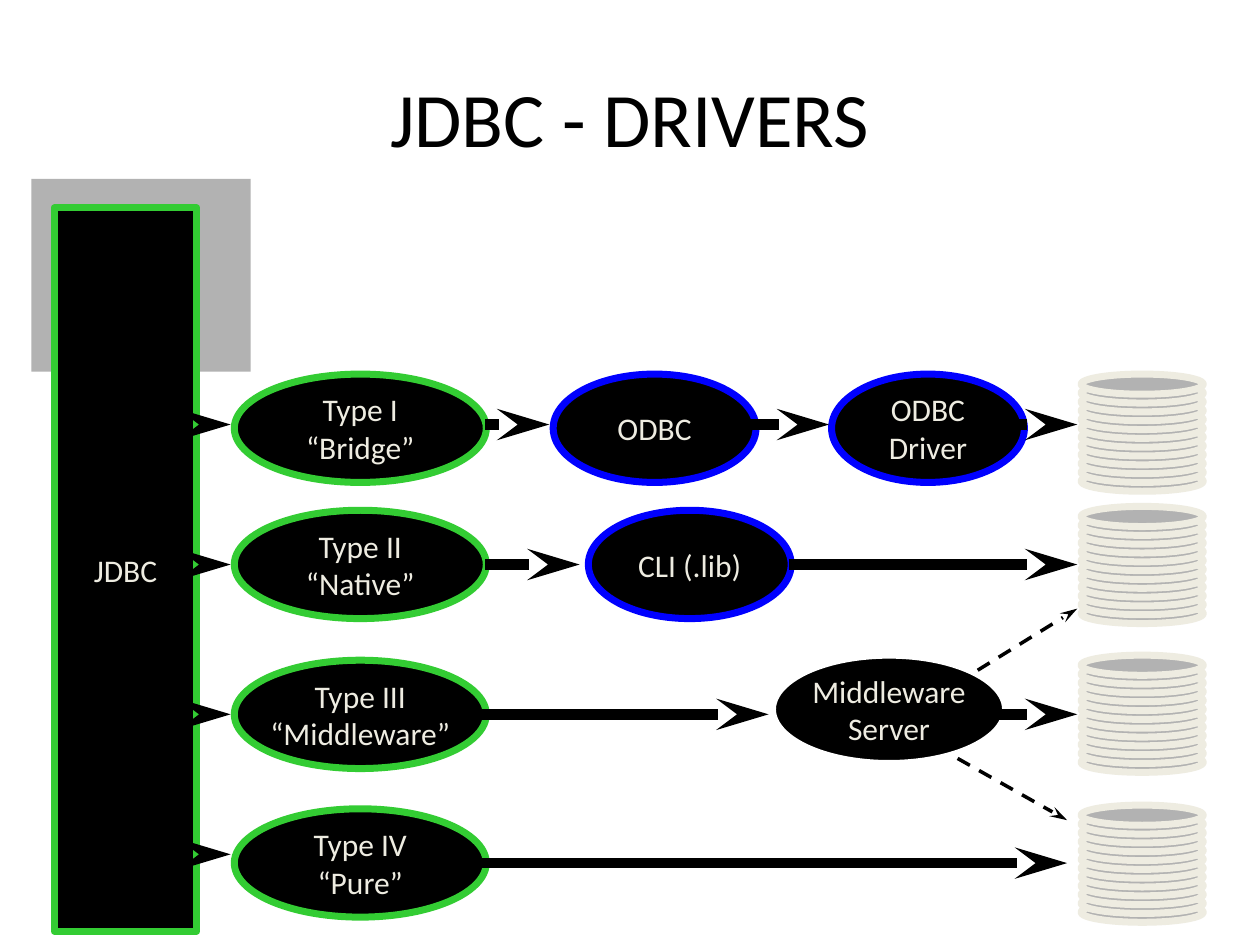
from lxml import etree
from pptx import Presentation
from pptx.dml.color import RGBColor
from pptx.enum.dml import MSO_LINE as Dash
from pptx.enum.shapes import MSO_CONNECTOR as Connector, MSO_SHAPE as Shape
from pptx.enum.text import MSO_ANCHOR as Anchor, PP_ALIGN as Align
from pptx.oxml.ns import qn
from pptx.util import Pt

BLACK = RGBColor(0x00, 0x00, 0x00)
WHITE = RGBColor(0xFF, 0xFF, 0xFF)
GRAY = RGBColor(0xB2, 0xB2, 0xB2)
CREAM = RGBColor(0xEE, 0xEC, 0xE1)
GREEN = RGBColor(0x33, 0xCC, 0x33)
BLUE = RGBColor(0x00, 0x00, 0xFF)

ROW_HEIGHT = 61.9
TYPE_LEFT, TYPE_WIDTH = 133.9, 144
TYPES = [
    (213.8, "Type I\n“Bridge”"),
    (291.6, "Type II\n“Native”"),
    (377.3, "Type III\n“Middleware”"),
    (462.2, "Type IV\n“Pure”"),
]
# left, top, width, outline, text
LAYERS = [
    (316.1, 213.8, 115.9, BLUE, "ODBC"),
    (475.2, 213.8, 110.2, BLUE, "ODBC\nDriver"),
    (336.2, 291.6, 115.9, BLUE, "CLI (.lib)"),
    (441.4, 374.4, 133.2, WHITE, "Middleware\nServer"),
]
DATABASE_TOPS = [213.8, 289.4, 374.4, 460.1]
# y, then the start and end x of each arrow in that row
ARROW_ROWS = [
    (242.6, [(77.8, 131.8), (277.2, 313.9), (419.8, 473.8), (561.6, 615.6)]),
    (322.6, [(103.7, 131.8), (277.2, 331.2), (450.7, 615.6)]),
    (408.2, [(77.8, 131.8), (274.3, 439.2), (570.2, 615.6)]),
    (488.2, [(77.8, 131.8)]),
    (493.2, [(274.3, 609.8)]),
]
DASHED_ARROWS = [
    ((558.7, 383), (615.6, 347.8)),
    ((547.2, 433.4), (609.8, 468.7)),
]


class DiagramBuilder:
    FRAME = {
        "margin_left": Pt(7.2), "margin_right": Pt(7.2),
        "margin_top": Pt(3.6), "margin_bottom": Pt(3.6),
        "vertical_anchor": Anchor.MIDDLE,
    }
    FONT = {"name": "Calibri", "bold": False}

    def __init__(self, slide):
        self.slide = slide

    def label(self, shape, text, size, color, wrap):
        frame = shape.text_frame
        for name, value in {**self.FRAME, "word_wrap": wrap}.items():
            setattr(frame, name, value)
        frame.text = text
        for paragraph in frame.paragraphs:
            paragraph.alignment = Align.CENTER
            for name, value in {**self.FONT, "size": Pt(size)}.items():
                setattr(paragraph.font, name, value)
            paragraph.font.color.rgb = color

    def title(self, text, *box):
        shape = self.slide.shapes.add_textbox(*map(Pt, box))
        self.label(shape, text, 44, BLACK, True)

    def shape(self, kind, box, fill, outline=None, text=None):
        shape = self.slide.shapes.add_shape(kind, *map(Pt, box))
        shape.shadow.inherit = False
        shape.fill.solid()
        shape.fill.fore_color.rgb = fill
        if outline is None:
            shape.line.fill.background()
        else:
            shape.line.color.rgb = outline
            shape.line.width = Pt(4)
        if text:
            self.label(shape, text, 18, CREAM, False)

    def database(self, top, disks=12, step=5.04):
        """Stack flat disks from the bottom up."""
        for index in reversed(range(disks)):
            box = (617.8, top + index * step, 69.8, 11.5)
            self.shape(Shape.OVAL, box, GRAY, CREAM)

    def arrow(self, start, end, width=6, dash=None):
        connector = self.slide.shapes.add_connector(
            Connector.STRAIGHT, *map(Pt, start + end))
        line = connector.line
        line.color.rgb = BLACK
        line.width = Pt(width)
        if dash:
            line.dash_style = dash
        properties = connector._element.spPr
        etree.SubElement(properties.find(qn("a:ln")), qn("a:tailEnd"),
                         type="stealth", w="med", len="lg")
        etree.SubElement(properties, qn("a:effectLst"))


def main():
    presentation = Presentation()
    presentation.slide_width, presentation.slide_height = Pt(720), Pt(540)
    slide = presentation.slides.add_slide(presentation.slide_layouts[6])
    diagram = DiagramBuilder(slide)

    diagram.title("JDBC - DRIVERS", 36, 21.6, 648, 90)
    diagram.shape(Shape.RECTANGLE, (18, 102.2, 125.3, 110.2), GRAY)
    diagram.shape(Shape.RECTANGLE, (31, 118.8, 81.4, 413.3), BLACK, GREEN, "JDBC")

    for top, text in TYPES:
        box = (TYPE_LEFT, top, TYPE_WIDTH, ROW_HEIGHT)
        diagram.shape(Shape.OVAL, box, BLACK, GREEN, text)
    for left, top, width, outline, text in LAYERS:
        box = (left, top, width, ROW_HEIGHT)
        diagram.shape(Shape.OVAL, box, BLACK, outline, text)
    for top in DATABASE_TOPS:
        diagram.database(top)

    for y, spans in ARROW_ROWS:
        for start, end in spans:
            diagram.arrow((start, y), (end, y))
    for start, end in DASHED_ARROWS:
        diagram.arrow(start, end, 2, Dash.DASH)

    presentation.save("out.pptx")


if __name__ == "__main__":
    main()
